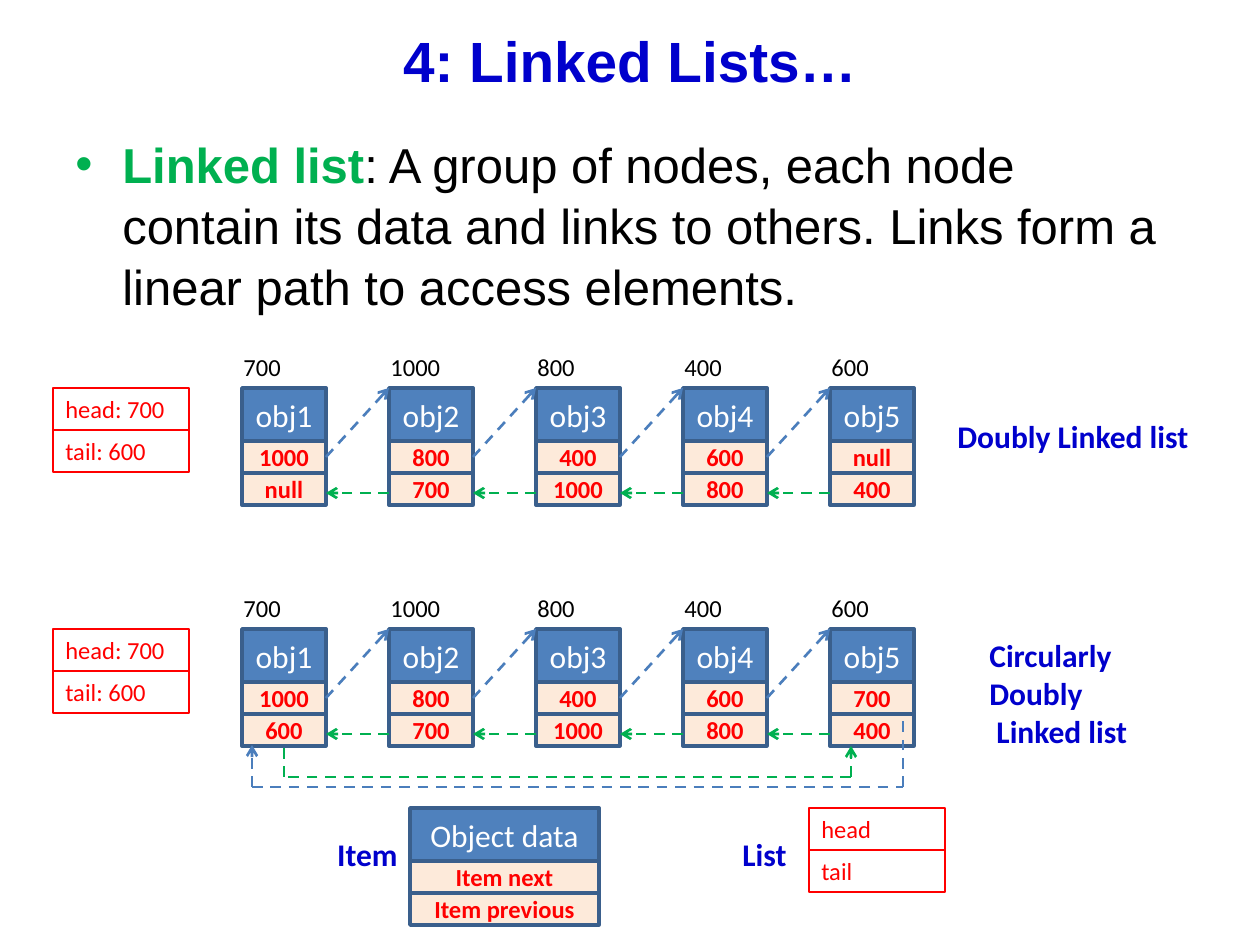
"""Build the slide on doubly and circularly linked lists."""
from lxml import etree
from pptx import Presentation
from pptx import util as u
from pptx.dml.color import RGBColor
from pptx.enum import dml, shapes, text
from pptx.oxml import ns

SCALE = u.Inches(1) / 126
COLORS = {
    "heading": "0000CC", "term": "00B050", "body": "000000", "white": "FFFFFF",
    "data": "4F81BD", "link": "FDEADA", "border": "3A5F8C", "red": "FF0000",
    "next": "4B7EBC", "previous": "00B050",
}
LEFT, CENTER, RIGHT = text.PP_ALIGN.LEFT, text.PP_ALIGN.CENTER, text.PP_ALIGN.RIGHT
TOP, MIDDLE = text.MSO_ANCHOR.TOP, text.MSO_ANCHOR.MIDDLE
STYLES = {
    "title": dict(font={"name": "Arial", "size": u.Pt(32.4), "bold": True},
                  color="heading", align=CENTER, anchor=MIDDLE),
    "body": dict(font={"name": "Arial", "size": u.Pt(28), "bold": False},
                 color="body", align=LEFT, anchor=TOP),
    "address": dict(font={"name": "Calibri", "size": u.Pt(14), "bold": False},
                    color="body", align=LEFT, anchor=TOP),
    "label": dict(font={"name": "Calibri", "size": u.Pt(18), "bold": True},
                  color="heading", align=LEFT, anchor=TOP),
    "side": dict(font={"name": "Calibri", "size": u.Pt(18), "bold": True},
                 color="heading", align=RIGHT, anchor=TOP),
    "data": dict(font={"name": "Calibri", "size": u.Pt(18), "bold": False},
                 color="white", align=CENTER, anchor=MIDDLE,
                 fill="data", line=("border", 2)),
    "link": dict(font={"name": "Calibri", "size": u.Pt(14), "bold": True},
                 color="red", align=CENTER, anchor=MIDDLE,
                 fill="link", line=("border", 2)),
    "field": dict(font={"name": "Calibri", "size": u.Pt(14), "bold": False},
                  color="red", align=LEFT, anchor=TOP, line=("red", 0.75)),
}

presentation = Presentation()
presentation.slide_width = u.Inches(10)
presentation.slide_height = u.Inches(7.5)
slide = presentation.slides.add_slide(presentation.slide_layouts[6])


def add_box(bounds, content, style_name):
    style = STYLES[style_name]
    position = [round(value * SCALE) for value in bounds]
    if "line" in style:
        shape = slide.shapes.add_shape(shapes.MSO_SHAPE.RECTANGLE, *position)
        shape.shadow.inherit = False
        line_color, line_width = style["line"]
        shape.line.color.rgb = RGBColor.from_string(COLORS[line_color])
        shape.line.width = u.Pt(line_width)
        if "fill" in style:
            shape.fill.solid()
            shape.fill.fore_color.rgb = RGBColor.from_string(COLORS[style["fill"]])
        else:
            shape.fill.background()
    else:
        shape = slide.shapes.add_textbox(*position)
    frame = shape.text_frame
    frame.word_wrap = True
    frame.vertical_anchor = style["anchor"]
    frame.text = content
    for paragraph in frame.paragraphs:
        paragraph.alignment = style["align"]
        for run in paragraph.runs:
            for name, value in style["font"].items():
                setattr(run.font, name, value)
            run.font.color.rgb = RGBColor.from_string(COLORS[style["color"]])
    return shape


def add_dashed(start, end, color, arrow=True):
    points = [round(value * SCALE) for value in (*start, *end)]
    connector = slide.shapes.add_connector(shapes.MSO_CONNECTOR.STRAIGHT, *points)
    connector.line.color.rgb = RGBColor.from_string(COLORS[color])
    connector.line.width = u.Pt(1.5)
    connector.line.dash_style = dml.MSO_LINE.DASH
    properties = connector._element.spPr
    if arrow:
        outline = properties.find(ns.qn("a:ln"))
        etree.SubElement(outline, ns.qn("a:tailEnd"), type="arrow")
    etree.SubElement(properties, ns.qn("a:effectLst"))
    return connector


add_box((63, 21, 1134, 78), "4: Linked Lists…", "title")

definition = add_box((63, 126, 1134, 189), "Linked list", "body").text_frame.paragraphs[0]
term = definition.runs[0]
term.font.bold = True
term.font.color.rgb = RGBColor.from_string(COLORS["term"])
explanation = definition.add_run()
explanation.text = (": A group of nodes, each node contain its data and links to others. "
                    "Links form a linear path to access elements.")
for name, value in STYLES["body"]["font"].items():
    setattr(explanation.font, name, value)
explanation.font.color.rgb = RGBColor.from_string(COLORS["body"])
definition.line_spacing = 1.04
definition.space_before = u.Pt(2)
bullet = definition._p.get_or_add_pPr()
bullet.set("marL", str(round(47 * SCALE)))
bullet.set("indent", str(round(-47 * SCALE)))
etree.SubElement(bullet, ns.qn("a:buFont"), typeface="Arial")
etree.SubElement(bullet, ns.qn("a:buChar"), char="•")

NODE_LEFT, NODE_WIDTH, PITCH = 242, 84, 147
DATA_HEIGHT, LINK_HEIGHT = 53, 32
addresses = ["700", "1000", "800", "400", "600"]
lists = [(388, "null", "null"), (629, addresses[0], addresses[-1])]

for top, last_next, first_previous in lists:
    next_links = addresses[1:] + [last_next]
    previous_links = [first_previous] + addresses[:-1]
    next_top = top + DATA_HEIGHT
    previous_top = next_top + LINK_HEIGHT
    next_cells, previous_cells = [], []
    for index, address in enumerate(addresses):
        left = NODE_LEFT + index * PITCH
        add_box((left - 11, top - 42, NODE_WIDTH, 42), address, "address")
        add_box((left, top, NODE_WIDTH, DATA_HEIGHT), f"obj{index + 1}", "data")
        next_cells.append(add_box((left, next_top, NODE_WIDTH, LINK_HEIGHT),
                                  next_links[index], "link"))
        previous_cells.append(add_box((left, previous_top, NODE_WIDTH, LINK_HEIGHT),
                                      previous_links[index], "link"))
    for index, cell in enumerate(next_cells[:-1]):
        right = NODE_LEFT + index * PITCH + NODE_WIDTH
        following = NODE_LEFT + (index + 1) * PITCH
        add_dashed((right, next_top + 16), (following, top), "next").begin_connect(cell, 3)
        add_dashed((following, top + 105), (right, top + 105), "previous")
    for row, field in enumerate(["head: 700", "tail: 600"]):
        add_box((53, top + row * 42, 136, 42), field, "field")

add_dashed((252, 787), (252, 745), "next")
add_dashed((252, 787), (903, 787), "next", arrow=False)
add_dashed((903, 787), (903, 714), "next", arrow=False)
first_drop = add_dashed((284, 777), (284, 746), "previous", arrow=False)
first_drop.end_connect(previous_cells[0], 2)
add_dashed((851, 777), (284, 777), "previous", arrow=False)
add_dashed((851, 777), (851, 746), "previous")

add_box((945, 411, 284, 50), "Doubly Linked list", "label")
add_box((977, 630, 252, 127), "Circularly\vDoubly\n Linked list", "label")

add_box((294, 829, 116, 50), "Item", "side")
add_box((410, 808, 189, DATA_HEIGHT), "Object data", "data")
for row, field in enumerate(["Item next", "Item previous"]):
    add_box((410, 861 + row * LINK_HEIGHT, 189, LINK_HEIGHT), field, "link")

add_box((683, 829, 116, 50), "List", "side")
for row, field in enumerate(["head", "tail"]):
    add_box((809, 808 + row * 42, 136, 42), field, "field")

presentation.save("out.pptx")
